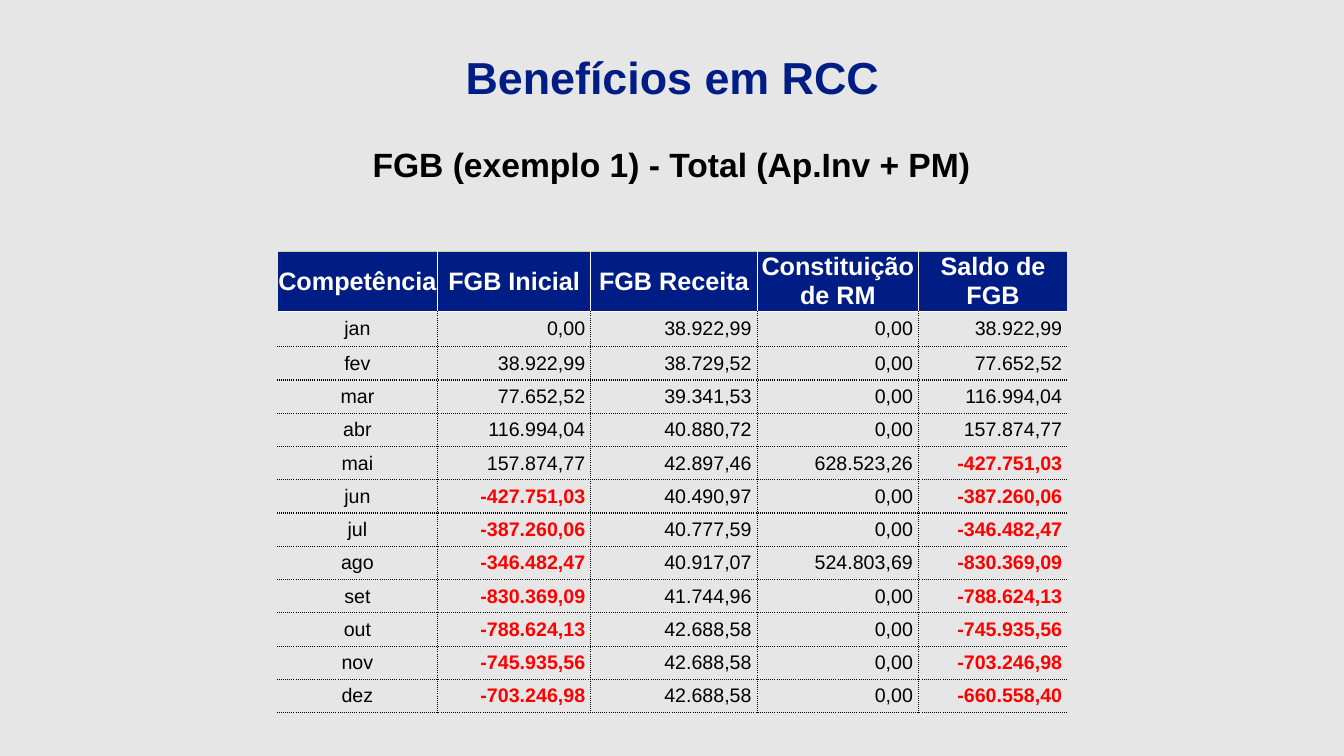
from dataclasses import dataclass
from typing import Any

from lxml.etree import SubElement
from pptx import Presentation
from pptx.dml.color import RGBColor
from pptx.enum.text import MSO_ANCHOR, PP_ALIGN
from pptx.oxml.ns import qn
from pptx.util import Inches, Pt

NAVY = RGBColor(0x00, 0x1D, 0x85)
BLACK = RGBColor(0x00, 0x00, 0x00)
WHITE = RGBColor(0xFF, 0xFF, 0xFF)
RED = RGBColor(0xFF, 0x00, 0x00)
GREY = RGBColor(0xE6, 0xE6, 0xE6)
GREEN = RGBColor(0xC4, 0xD7, 0x9B)


@dataclass(frozen=True)
class Style:
    size: float
    color: RGBColor
    bold: bool
    align: Any = PP_ALIGN.CENTER


@dataclass(frozen=True)
class Edge:
    color: RGBColor
    width: float
    dash: str = "solid"


@dataclass(frozen=True)
class Month:
    name: str
    income: str
    reserve: str
    balance: str


DOTS = Edge(BLACK, 1, "sysDot")
OUTER = Edge(GREY, 1)
RULE = Edge(WHITE, 0.5)
TOP = Edge(GREEN, 0.5)

HEADS = ["Competência", "FGB Inicial", "FGB Receita",
         "Constituição de RM", "Saldo de FGB"]
MONTHS = [
    Month("jan", "38.922,99", "0,00", "38.922,99"),
    Month("fev", "38.729,52", "0,00", "77.652,52"),
    Month("mar", "39.341,53", "0,00", "116.994,04"),
    Month("abr", "40.880,72", "0,00", "157.874,77"),
    Month("mai", "42.897,46", "628.523,26", "-427.751,03"),
    Month("jun", "40.490,97", "0,00", "-387.260,06"),
    Month("jul", "40.777,59", "0,00", "-346.482,47"),
    Month("ago", "40.917,07", "524.803,69", "-830.369,09"),
    Month("set", "41.744,96", "0,00", "-788.624,13"),
    Month("out", "42.688,58", "0,00", "-745.935,56"),
    Month("nov", "42.688,58", "0,00", "-703.246,98"),
    Month("dez", "42.688,58", "0,00", "-660.558,40"),
]
WIDTHS = [1.59, 1.52, 1.65, 1.6, 1.48]
HEIGHTS = [0.59, 0.35] + [0.33] * (len(MONTHS) - 1)


def assign(item: Any, values: dict[str, Any]) -> None:
    for name, value in values.items():
        setattr(item, name, value)


def write(frame: Any, text: str, style: Style) -> None:
    line = frame.paragraphs[0]
    line.alignment = style.align
    run = line.add_run()
    run.text = text
    assign(run.font, {"name": "Arial", "size": Pt(style.size), "bold": style.bold})
    run.font.color.rgb = style.color


def place(shape: Any, left: float, top: float, width: float, height: float) -> None:
    assign(shape, {"left": Inches(left), "top": Inches(top),
                   "width": Inches(width), "height": Inches(height)})


def border(cell: Any, edges: dict[str, Edge]) -> None:
    props = cell._tc.get_or_add_tcPr()
    for side, edge in edges.items():
        line = SubElement(props, qn(f"a:ln{side}"), w=str(Pt(edge.width)))
        fill = SubElement(line, qn("a:solidFill"))
        SubElement(fill, qn("a:srgbClr"), val=str(edge.color))
        SubElement(line, qn("a:prstDash"), val=edge.dash)


def pick_edges(row: int, col: int) -> dict[str, Edge]:
    inner = DOTS if row else RULE
    above = {0: TOP, 1: RULE}.get(row, DOTS)
    return {"L": inner if col else OUTER,
            "R": inner if col < len(HEADS) - 1 else OUTER,
            "T": above, "B": inner}


def pick_style(row: int, col: int, text: str) -> Style:
    if row == 0:
        return Style(18, WHITE, True)
    if col == 0:
        return Style(14, BLACK, False)
    debt = text.startswith("-")
    return Style(14, RED if debt else BLACK, debt, PP_ALIGN.RIGHT)


def list_rows() -> list[list[str]]:
    # Each month opens with the balance of the month before
    rows, start = [HEADS], "0,00"
    for month in MONTHS:
        sums = [start, month.income, month.reserve, month.balance]
        rows.append([month.name] + [f"{value} " for value in sums])
        start = month.balance
    return rows


def draw_table(slide: Any) -> None:
    rows = list_rows()
    frame = slide.shapes.add_table(
        len(rows), len(HEADS), Inches(2.75), Inches(2.49),
        Inches(sum(WIDTHS)), Inches(sum(HEIGHTS)))
    table = frame.table
    assign(table, {"first_row": False, "horz_banding": False})
    for col, width in zip(table.columns, WIDTHS):
        col.width = Inches(width)
    for row, height in zip(table.rows, HEIGHTS):
        row.height = Inches(height)

    for i, texts in enumerate(rows):
        for j, text in enumerate(texts):
            cell = table.cell(i, j)
            assign(cell, {"margin_left": 0, "margin_right": 0, "margin_top": 0,
                          "margin_bottom": 0,
                          "vertical_anchor": MSO_ANCHOR.MIDDLE})
            border(cell, pick_edges(i, j))
            if i == 0:
                cell.fill.solid()
                cell.fill.fore_color.rgb = NAVY
            else:
                cell.fill.background()
            write(cell.text_frame, text, pick_style(i, j, text))


def main() -> None:
    deck = Presentation()
    assign(deck, {"slide_width": Inches(13.33), "slide_height": Inches(7.5)})
    slide = deck.slides.add_slide(deck.slide_layouts[5])
    back = slide.background.fill
    back.solid()
    back.fore_color.rgb = GREY

    # Title and subtitle
    title = slide.shapes.title
    place(title, 2.15, 0.44, 9.04, 0.64)
    title.text_frame.vertical_anchor = MSO_ANCHOR.MIDDLE
    write(title.text_frame, "Benefícios em RCC", Style(32, NAVY, True))
    label = slide.shapes.add_textbox(0, 0, 0, 0)
    place(label, 2.17, 1.38, 8.98, 0.5)
    label.text_frame.word_wrap = True
    write(label.text_frame, "FGB (exemplo 1) - Total (Ap.Inv + PM)",
          Style(24, BLACK, True))

    # Monthly fund table
    draw_table(slide)
    deck.save("out.pptx")


if __name__ == "__main__":
    main()
